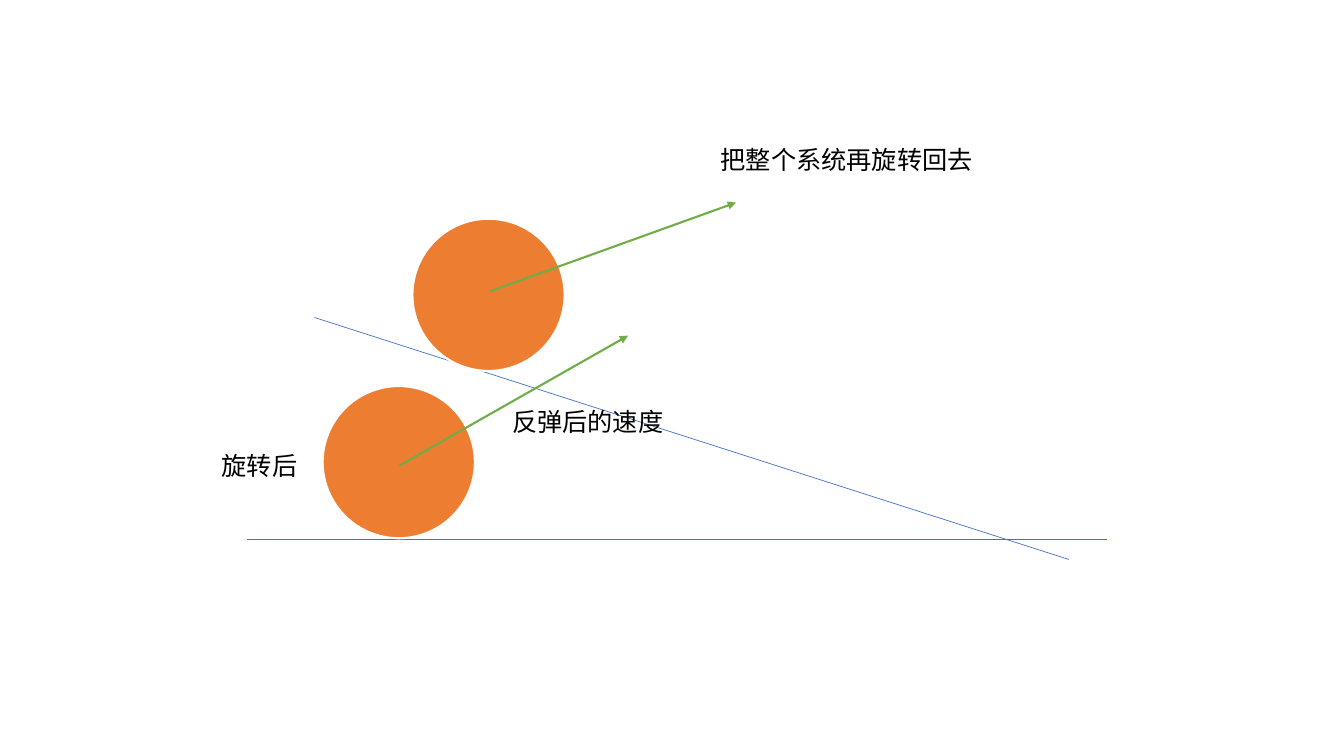
from dataclasses import dataclass

from lxml.etree import SubElement
from pptx import Presentation
from pptx.dml.color import RGBColor
from pptx.enum.shapes import MSO_CONNECTOR, MSO_SHAPE
from pptx.enum.text import MSO_AUTO_SIZE
from pptx.oxml.ns import qn
from pptx.util import Inches, Pt


@dataclass(frozen=True)
class Theme:
    """Colours, type and line widths of the slide."""
    surface: RGBColor = RGBColor.from_string("4472C4")
    ball: RGBColor = RGBColor.from_string("ED7D31")
    rim: RGBColor = RGBColor.from_string("FFFFFF")
    velocity: RGBColor = RGBColor.from_string("70AD47")
    ink: RGBColor = RGBColor.from_string("000000")
    font: str = "Noto Sans CJK SC"
    text_size: int = Pt(18)
    thin: int = Pt(0.5)
    thick: int = Pt(1.5)


THEME = Theme()
GRID_COLUMNS, GRID_ROWS = 133.3, 75
CELL = Inches(0.1)
BALL_SIZE = 15.1
CAPTION_HEIGHT = 4


def cells(*counts):
    """Turn counts of grid cells into lengths."""
    return [round(count * CELL) for count in counts]


def apply_format(target, values):
    """Set each named attribute on the target."""
    for name, value in values.items():
        setattr(target, name, value)


def add_segment(slide, start, end, color, width):
    """Draw a straight line between two grid points."""
    segment = slide.shapes.add_connector(MSO_CONNECTOR.STRAIGHT, *cells(*start, *end))
    segment.line.color.rgb = color
    segment.line.width = width
    SubElement(segment._element.spPr, qn("a:effectLst"))
    return segment


def add_surface(slide, start, end):
    """Draw the surface that the ball bounces on."""
    add_segment(slide, start, end, THEME.surface, THEME.thin)


def add_velocity(slide, start, end):
    """Draw a velocity arrow."""
    arrow = add_segment(slide, start, end, THEME.velocity, THEME.thick)
    outline = arrow._element.spPr.find(qn("a:ln"))
    SubElement(outline, qn("a:tailEnd"), type="triangle")


def add_ball(slide, column, row):
    """Draw a ball with its top left corner at a grid point."""
    ball = slide.shapes.add_shape(MSO_SHAPE.OVAL, *cells(column, row, BALL_SIZE, BALL_SIZE))
    ball.shadow.inherit = False
    ball.fill.solid()
    ball.fill.fore_color.rgb = THEME.ball
    ball.line.color.rgb = THEME.rim
    ball.line.width = THEME.thick


def add_caption(slide, column, row, width, wording):
    """Write a one-line caption at a grid point."""
    caption = slide.shapes.add_textbox(*cells(column, row, width, CAPTION_HEIGHT))
    frame = caption.text_frame
    apply_format(frame, {"word_wrap": False, "auto_size": MSO_AUTO_SIZE.SHAPE_TO_FIT_TEXT})
    run = frame.paragraphs[0].add_run()
    run.text = wording
    apply_format(run.font, {"size": THEME.text_size, "name": THEME.font})
    run.font.color.rgb = THEME.ink
    SubElement(run.font._element, qn("a:ea"), typeface=THEME.font)


def main():
    """Build and save the slide."""
    deck = Presentation()
    width, height = cells(GRID_COLUMNS, GRID_ROWS)
    apply_format(deck, {"slide_width": width, "slide_height": height})
    slide = deck.slides.add_slide(deck.slide_layouts[6])

    add_surface(slide, (31.2, 31.5), (106, 55.5))
    add_ball(slide, 40.9, 21.7)
    add_velocity(slide, (48.6, 28.9), (73, 20.1))
    add_caption(slide, 70.5, 13.8, 27.3, "把整个系统再旋转回去")

    add_surface(slide, (24.5, 53.5), (109.8, 53.5))
    add_ball(slide, 32, 38.3)
    add_caption(slide, 21, 44.2, 9.6, "旋转后")
    add_velocity(slide, (39.6, 46.2), (62.3, 33.3))
    add_caption(slide, 49.8, 39.8, 17.2, "反弹后的速度")

    deck.save("out.pptx")


if __name__ == "__main__":
    main()
